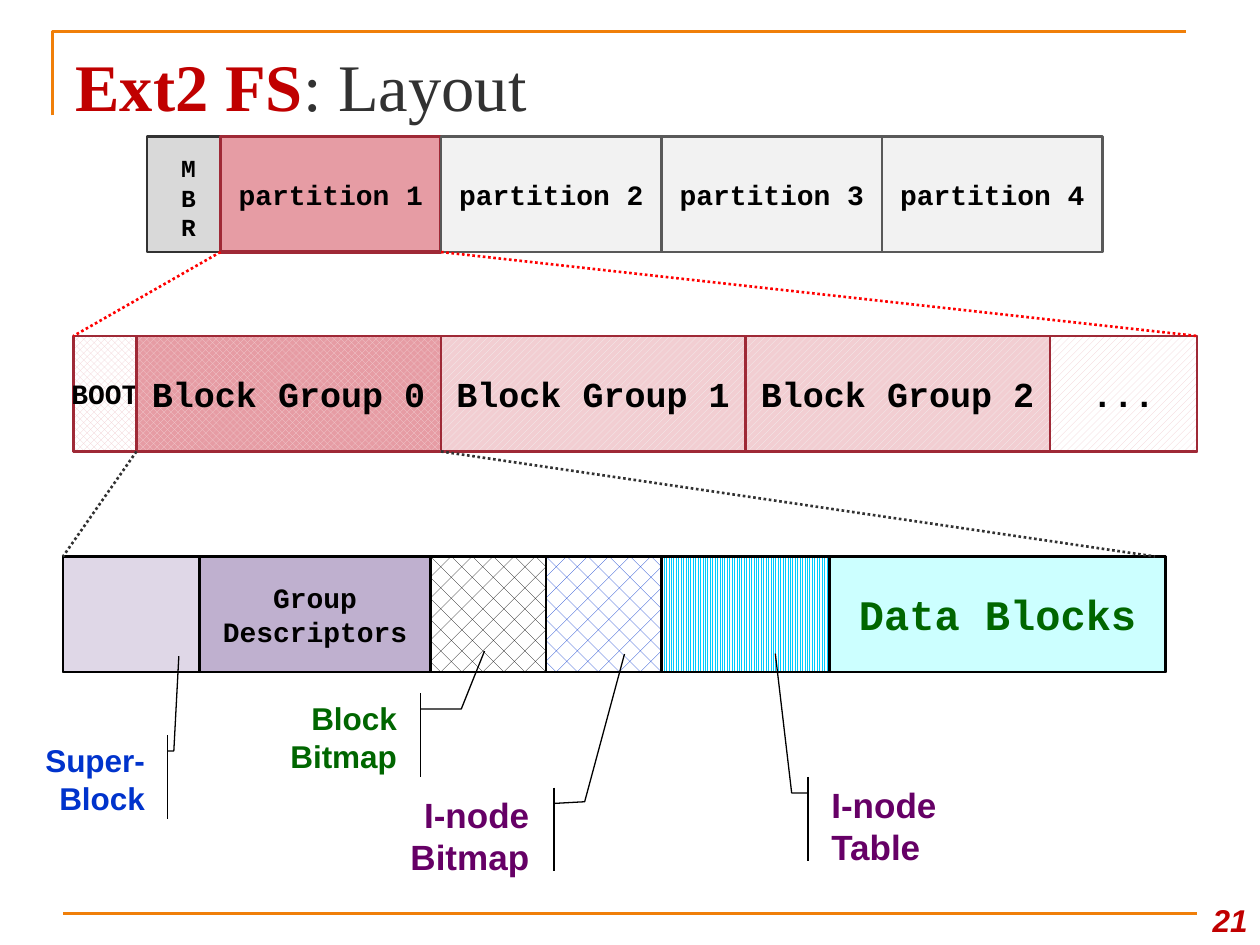
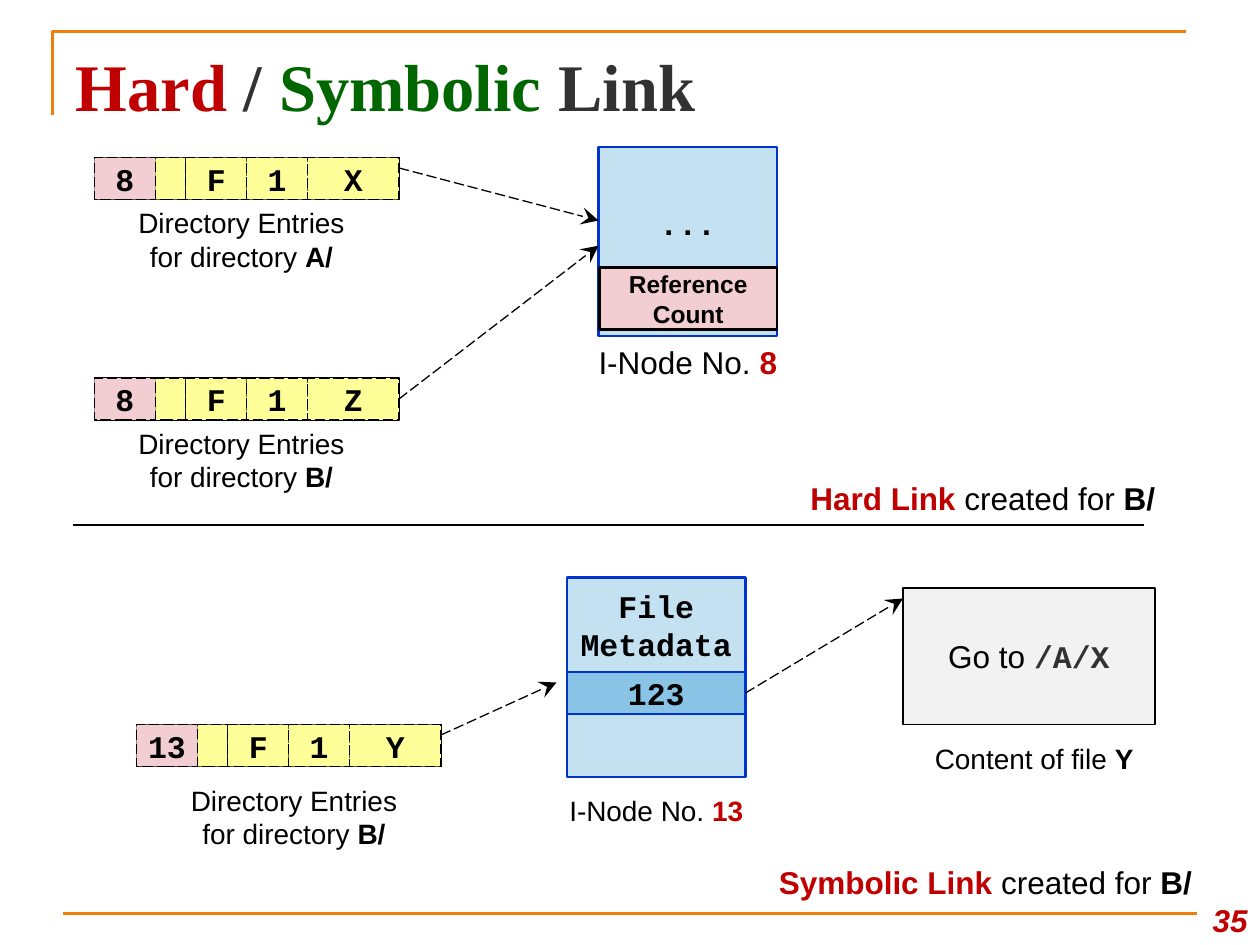
"""Builds two slides on the Ext2 disk layout and on hard and symbolic links."""
from itertools import accumulate

from lxml import etree
from pptx import Presentation
from pptx.dml.color import RGBColor
from pptx.enum.dml import MSO_LINE, MSO_PATTERN_TYPE
from pptx.enum.shapes import MSO_CONNECTOR, MSO_SHAPE
from pptx.enum.text import MSO_ANCHOR, PP_ALIGN
from pptx.oxml.ns import qn
from pptx.util import Pt

PX = 7620
RECT, CALL = MSO_SHAPE.RECTANGLE, MSO_SHAPE.LINE_CALLOUT_2_ACCENT_BAR
STRAIGHT = MSO_CONNECTOR.STRAIGHT
DOT, DASH = MSO_LINE.ROUND_DOT, MSO_LINE.LONG_DASH
LEFT, MID, RIGHT = PP_ALIGN.LEFT, PP_ALIGN.CENTER, PP_ALIGN.RIGHT
TOP, CENTER, BASE = MSO_ANCHOR.TOP, MSO_ANCHOR.MIDDLE, MSO_ANCHOR.BOTTOM
CHECK = MSO_PATTERN_TYPE.LARGE_CHECKER_BOARD
SLANT = MSO_PATTERN_TYPE.WIDE_UPWARD_DIAGONAL
OPEN = MSO_PATTERN_TYPE.OUTLINED_DIAMOND
NET = MSO_PATTERN_TYPE.DOTTED_DIAMOND
BARS = MSO_PATTERN_TYPE.LIGHT_VERTICAL
SANS, MONO, SERIF = "Arial", "Courier New", "Times New Roman"

HEX = {
    "ink": "000000", "white": "FFFFFF", "dark": "323232", "gray": "595959",
    "ash": "D9D9D9", "pale": "F2F2F2", "orange": "F07F09", "red": "C00000",
    "bright": "FF0000", "wine": "9F2936", "rose": "E69CA4", "pink": "F2CED2",
    "green": "006600", "blue": "0033CC", "plum": "660066", "lilac": "DFD7E7",
    "mauve": "BFB0CF", "cyan": "00CCFF", "aqua": "CCFFFF", "yellow": "FFFF99",
    "sky": "C4E1F2", "azure": "89C3E5",
}

TITLES = [
    (21, [("Ext2 FS", "red", True), (": Layout", "dark", False)]),
    (35, [("Hard", "red", True), (" / ", "dark", True),
          ("Symbolic", "green", True), (" Link", "dark", True)]),
]

# left, top, base fill, cells: width, text, fill, edge, line width, size, text colour
DISK = (140, 130, None, [
    (70, "", "ash", "dark", 1.5, 14, "ink"),
    (210, "partition 1", "rose", "wine", 2.25, 16, "ink"),
    *[(210, f"partition {n}", "pale", "gray", 1.5, 16, "ink") for n in (2, 3, 4)],
])
PART = (70, 320, "pink", [
    (60, "BOOT", (OPEN, "pink", "white"), "wine", 1.5, 16, "ink"),
    (290, "Block Group 0", (CHECK, "pink", "rose"), "wine", 1.5, 20, "ink"),
    (290, "Block Group 1", (SLANT, "pale", "pink"), "wine", 1.5, 20, "ink"),
    (290, "Block Group 2", (SLANT, "pale", "pink"), "wine", 1.5, 20, "ink"),
    (140, "...", (SLANT, "pink", "white"), "wine", 1.5, 20, "ink"),
])
GROUP = (60, 530, "pale", [
    (130, "", "lilac", "ink", 1.5, 16, "ink"),
    (220, "Group Descriptors", "mauve", "ink", 1.5, 16, "ink"),
    (110, "", (NET, "ink", "white"), "ink", 1.5, 16, "ink"),
    (110, "", (NET, "blue", "white"), "ink", 1.5, 16, "ink"),
    (160, "", (BARS, "cyan", "white"), "ink", 1.5, 16, "ink"),
    (320, "Data Blocks", "aqua", "ink", 1.5, 24, "green"),
])
ZOOMS = [
    ("bright", (210, 240, 70, 320)), ("bright", (420, 240, 1140, 320)),
    ("dark", (130, 430, 60, 530)), ("dark", (420, 430, 1100, 530)),
]
CALLS = [
    ((30, 700, 120, 80), ["Super-Block"], 18, "blue", RIGHT,
     (.19, 1.08, .19, 1.13, -.94, 1.17)),
    ((260, 660, 130, 80), ["Block Bitmap"], 18, "green", RIGHT,
     (.19, 1.08, .19, 1.38, -.5, 1.55)),
    ((370, 750, 146, 80), ["I-node", "Bitmap"], 20, "plum", RIGHT,
     (.19, 1.08, .17, 1.28, -1.59, 1.54)),
    ((780, 740, 130, 80), ["I-node", "Table"], 20, "plum", LEFT,
     (.19, -.08, .19, -.2, -1.47, -.32)),
]

# left, top, node, file, directory, caption left, caption top
ENTRIES = [
    (90, 150, "8", "X", "A/", 110, 190),
    (90, 360, "8", "Z", "B/", 110, 400),
    (130, 690, "13", "Y", "B/", 160, 740),
]
FIELDS = (58, 29, 58, 58, 87)
# box, size, alignment, runs
NOTES = [
    ((550, 321, 210, 48), 18, MID, [("I-Node No. ", "ink", False), ("8", "red", True)]),
    ((510, 750, 230, 44), 16, MID, [("I-Node No. ", "ink", False), ("13", "red", True)]),
    ((870, 700, 230, 44), 16, MID, [("Content of file ", "ink", False), ("Y", "ink", True)]),
    *[(box, 18, LEFT, [(kind, "red", True), ("created for ", "ink", False),
                       ("B/", "ink", True)])
      for kind, box in (("Hard Link ", (760, 450, 370, 48)),
                        ("Symbolic Link ", (730, 816, 430, 48)))],
]
# box, fill, edge, line width, size, font, lines
NODES = [
    ((570, 140, 170, 180), "sky", "blue", 1.5, 18, MONO, ["...", "..."]),
    ((571, 255, 169, 59), "pink", "ink", 1.5, 14, SANS, ["Reference Count"]),
    ((540, 550, 170, 90), "sky", "blue", 1.5, 18, MONO, ["File Metadata"]),
    ((540, 680, 170, 60), "sky", "blue", 1.5, 18, MONO, []),
    ((540, 640, 170, 40), "azure", "blue", 1.5, 18, MONO, ["123"]),
]
GOTO = [("Go to ", "ink", False), ("/A/X", "dark", True, MONO)]


def tint(name):
    return RGBColor.from_string(HEX[name])


def emu(box):
    return [n * PX for n in box]


def write(shape, paras, size, font=SANS, align=MID, anchor=CENTER, wrap=True):
    frame = shape.text_frame
    frame.word_wrap = wrap
    frame.vertical_anchor = anchor
    for i, runs in enumerate(paras):
        para = frame.add_paragraph() if i else frame.paragraphs[0]
        para.alignment = align
        for text, color, bold, *face in runs:
            for k, part in enumerate(text.split("\n")):
                if k:
                    para.add_line_break()
                run = para.add_run()
                run.text = part
                run.font.size = Pt(size)
                run.font.name = face[0] if face else font
                run.font.bold = bold
                run.font.color.rgb = tint(color)


def label(slide, box, runs, size, **more):
    shape = slide.shapes.add_textbox(*emu(box))
    write(shape, [runs], size, **more)
    return shape


def stroke(line, color, width, dash=None):
    line.color.rgb = tint(color)
    line.width = Pt(width)
    if dash:
        line.dash_style = dash


def block(slide, box, fill, edge, width, dash=None, kind=RECT):
    shape = slide.shapes.add_shape(kind, *emu(box))
    shape.shadow.inherit = False
    if fill is None:
        shape.fill.background()
    elif isinstance(fill, tuple):
        shape.fill.patterned()
        shape.fill.pattern = fill[0]
        shape.fill.fore_color.rgb = tint(fill[1])
        shape.fill.back_color.rgb = tint(fill[2])
    else:
        shape.fill.solid()
        shape.fill.fore_color.rgb = tint(fill)
    stroke(shape.line, edge, width, dash)
    return shape


def link(slide, ends, color, width, dash=None, arrow=False, start=None):
    wire = slide.shapes.add_connector(STRAIGHT, *emu(ends))
    if start:
        wire.begin_connect(start, 3)
    stroke(wire.line, color, width, dash)
    props = wire._element.spPr
    if arrow:
        etree.SubElement(props.find(qn("a:ln")), qn("a:tailEnd"),
                         type="stealth", w="lg", len="lg")
    etree.SubElement(props, qn("a:effectLst"))


def begin(deck, page, runs):
    slide = deck.slides.add_slide(deck.slide_layouts[5])
    pen = slide.shapes.build_freeform(50, 110, scale=PX)
    pen.add_line_segments([(50, 30), (1130, 30)], close=False)
    frame = pen.convert_to_shape()
    frame.shadow.inherit = False
    frame.fill.background()
    stroke(frame.line, "orange", 1.5)
    link(slide, (60, 870, 1140, 870), "orange", 1.5)
    title = slide.shapes.title
    title.left, title.top, title.width, title.height = emu((60, 34, 1080, 94))
    write(title, [runs], 38, SERIF, LEFT)
    mark = label(slide, (1130, 840, 70, 60), [(str(page), "red", True)], 18,
                 align=RIGHT, anchor=BASE)
    mark.text_frame.paragraphs[0].runs[0].font.italic = True
    return slide


def strip(slide, left, top, base, cells):
    if base:
        total = sum(cell[0] for cell in cells)
        block(slide, (left, top, total, 110), base, cells[0][3], 1.5)
    edges = accumulate((cell[0] for cell in cells), initial=left)
    for x, (wide, text, fill, edge, width, size, color) in zip(edges, cells):
        shape = block(slide, (x, top, wide, 110), fill, edge, width)
        if text:
            write(shape, [[(text, color, True)]], size, MONO,
                  wrap=text == "Group Descriptors")


def layout(slide):
    for row in (DISK, PART, GROUP):
        strip(slide, *row)
    label(slide, (159, 140, 41, 96), [("M\nB\nR", "ink", True)], 14,
          font=MONO, anchor=TOP)
    for color, ends in ZOOMS:
        link(slide, ends, color, 1.5, DOT)
    for box, lines, size, color, align, bends in CALLS:
        shape = block(slide, box, None, "ink", .75, kind=CALL)
        for i, bend in enumerate(bends):
            shape.adjustments[i] = bend
        write(shape, [[(text, color, True)] for text in lines], size,
              align=align, anchor=TOP)


def entry(slide, left, top, node, name, folder, x, y):
    block(slide, (left, top, sum(FIELDS), 40), "yellow", "ink", .75)
    edges = accumulate(FIELDS, initial=left)
    for at, wide, text in zip(edges, FIELDS, (node, "", "F", "1", name)):
        fill = "pink" if at == left else "yellow"
        cell = block(slide, (at, top, wide, 40), fill, "ink", .75, DASH)
        if text:
            write(cell, [[(text, "ink", True)]], 18, MONO, wrap=False)
    label(slide, (x, y, 240, 77), [("Directory Entries for directory ", "ink", False),
                                   (folder, "ink", True)], 16, anchor=TOP)
    return cell


def links(slide):
    lasts = [entry(slide, *row) for row in ENTRIES]
    for box, fill, edge, width, size, font, lines in NODES:
        node = block(slide, box, fill, edge, width)
        write(node, [[(text, "ink", True)] for text in lines], size, font)
    goto = block(slide, (860, 560, 240, 130), "pale", "ink", .75)
    write(goto, [GOTO], 18, wrap=False)
    for box, size, align, runs in NOTES:
        label(slide, box, runs, size, align=align, anchor=TOP)
    link(slide, (70, 500, 1090, 500), "ink", .75)
    for ends, start in [((380, 160, 570, 210), None),
                        ((380, 380, 570, 234), lasts[1]),
                        ((420, 700, 530, 650), None),
                        ((710, 660, 860, 570), node)]:
        link(slide, ends, "ink", .75, DASH, True, start)


def main():
    deck = Presentation()
    deck.slide_width, deck.slide_height = emu((1200, 900))
    for (page, runs), draw in zip(TITLES, (layout, links)):
        draw(begin(deck, page, runs))
    deck.save("out.pptx")


if __name__ == "__main__":
    main()
